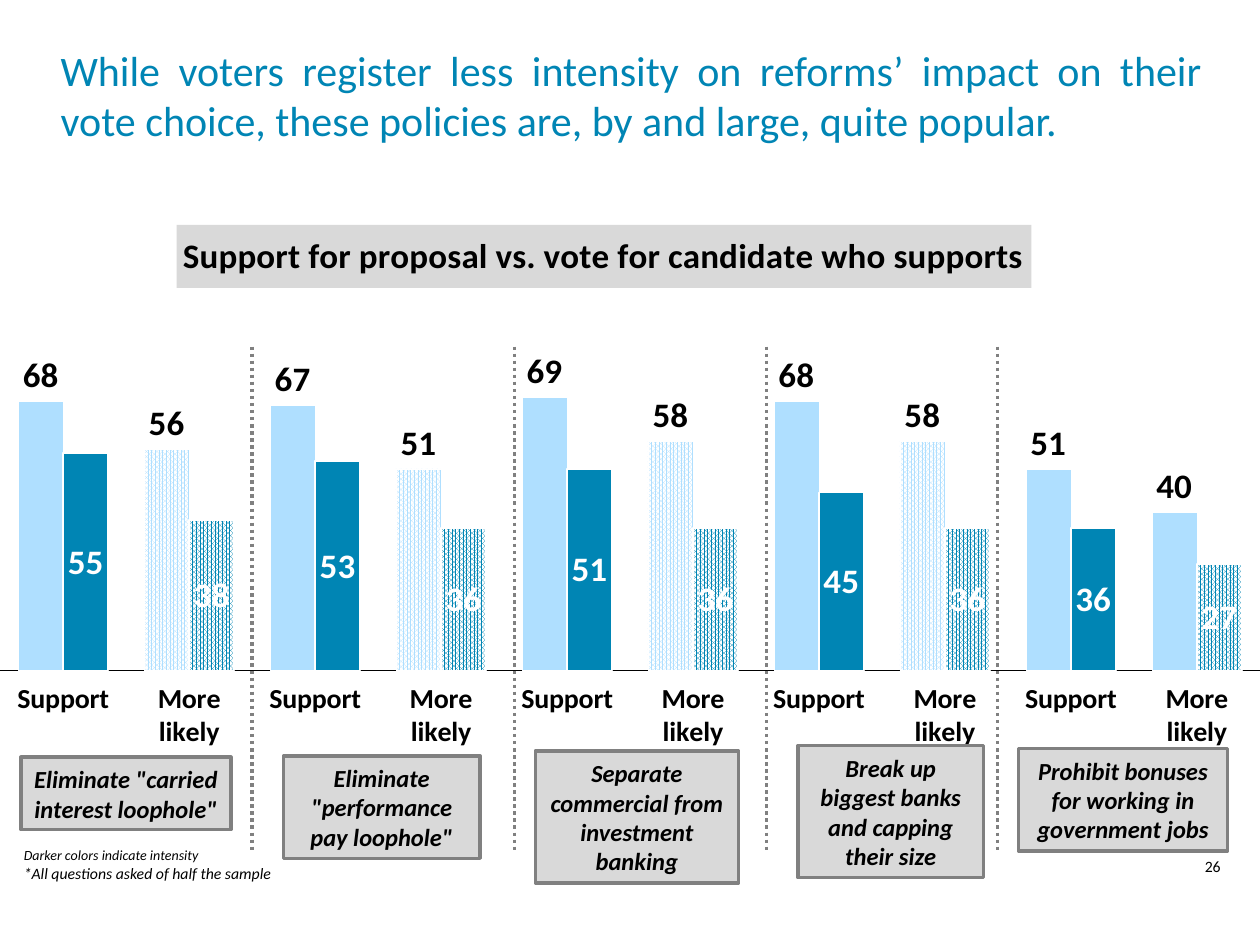
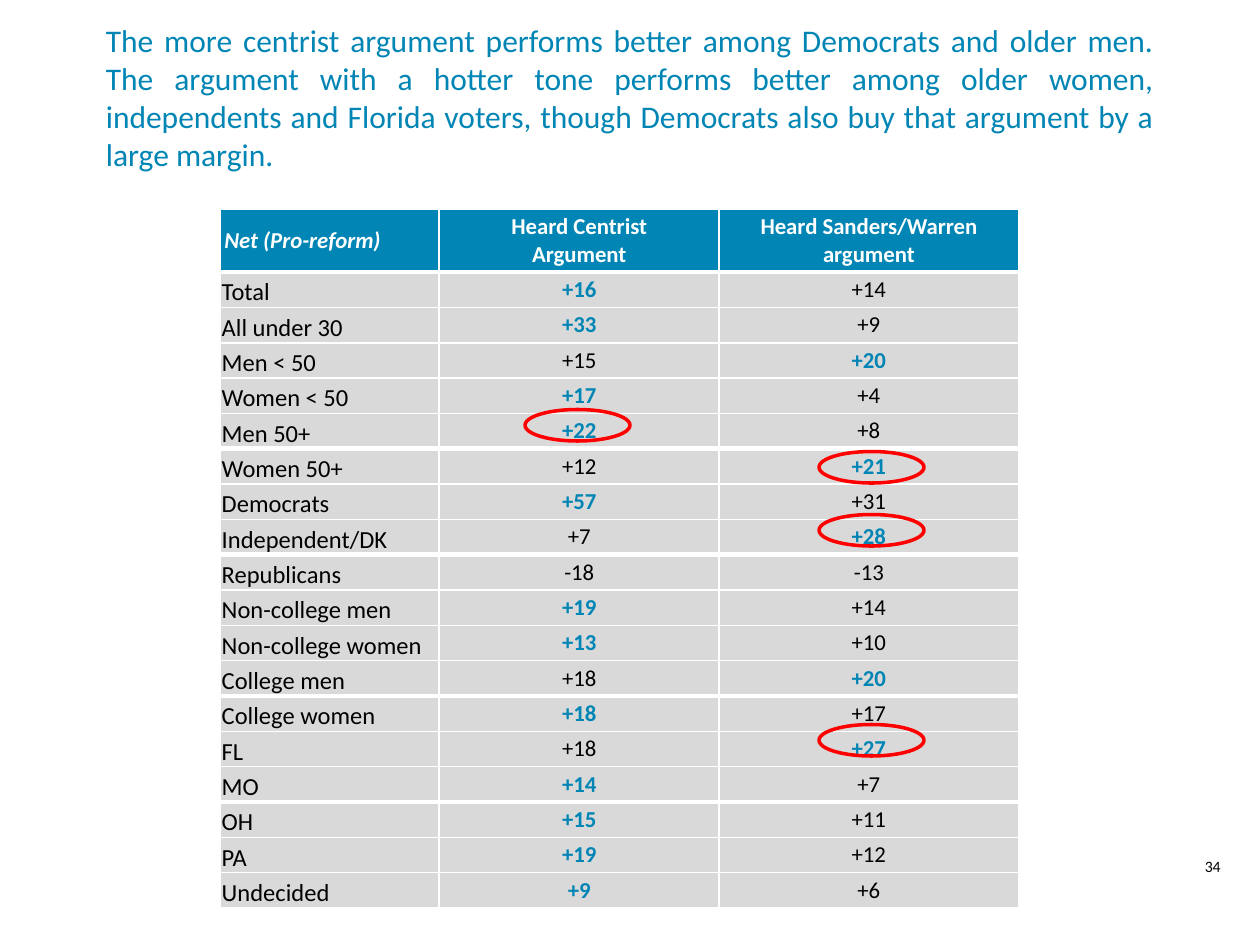
from copy import deepcopy
from dataclasses import dataclass

from lxml import etree
from pptx import Presentation
from pptx.chart.data import CategoryChartData
from pptx.dml.color import RGBColor
from pptx.enum.chart import XL_CHART_TYPE, XL_LABEL_POSITION, XL_TICK_LABEL_POSITION, XL_TICK_MARK
from pptx.enum.dml import MSO_LINE, MSO_PATTERN
from pptx.enum.shapes import MSO_CONNECTOR, MSO_SHAPE
from pptx.enum.text import MSO_ANCHOR, MSO_AUTO_SIZE, PP_ALIGN
from pptx.oxml.ns import qn
from pptx.util import Pt

CENTER, JUSTIFY, LEFT = PP_ALIGN.CENTER, PP_ALIGN.JUSTIFY, PP_ALIGN.LEFT
MIDDLE, BOTTOM = MSO_ANCHOR.MIDDLE, MSO_ANCHOR.BOTTOM
NO_FIT = MSO_AUTO_SIZE.NONE
CLUSTERED = XL_CHART_TYPE.COLUMN_CLUSTERED
LABEL_ABOVE, LABEL_INSIDE = XL_LABEL_POSITION.OUTSIDE_END, XL_LABEL_POSITION.CENTER
NO_TICK, LABELS_LOW = XL_TICK_MARK.NONE, XL_TICK_LABEL_POSITION.LOW
DOTTED, DENSE_DOTS = MSO_LINE.ROUND_DOT, MSO_PATTERN.PERCENT_80
RECTANGLE, OVAL, STRAIGHT = MSO_SHAPE.RECTANGLE, MSO_SHAPE.OVAL, MSO_CONNECTOR.STRAIGHT
TITLE_ONLY = 5


@dataclass(frozen=True)
class Theme:
    font: str = "Calibri"
    blue: str = "0085B4"
    light_blue: str = "AFDFFF"
    panel: str = "D9D9D9"
    rule: str = "808080"
    circle: str = "FF0000"
    black: str = "000000"
    white: str = "FFFFFF"
    title: float = 24
    long_title: float = 18
    chart_title: float = 20
    axis: float = 16
    row_label: float = 14
    proposal: float = 14
    cell: float = 13
    small: float = 9
    tiny: float = 8


THEME = Theme()


@dataclass(frozen=True)
class Box:
    left: float
    top: float
    width: float
    height: float

    def lengths(self) -> tuple:
        return Pt(self.left), Pt(self.top), Pt(self.width), Pt(self.height)


@dataclass(frozen=True)
class Proposal:
    text: str
    left: float
    top: float
    width: float
    lines: int

    def box(self) -> Box:
        return Box(self.left, self.top, self.width, 7.2 + 17.1 * self.lines)


@dataclass(frozen=True)
class BarSeries:
    name: str
    values: tuple
    color: str
    dotted: tuple
    outline: float
    label_color: str
    label_position: object


@dataclass(frozen=True)
class VoterGroup:
    name: str
    centrist: int
    hotter: int
    heavy_top: bool = False
    heavy_bottom: bool = False


PAGE_BOX = Box(666, 486, 54, 24)

PROPOSALS = (
    Proposal('Eliminate "carried interest loophole"', 12, 432.7, 120, 2),
    Proposal('Eliminate "performance pay loophole"', 162, 432, 112.3, 3),
    Proposal("Separate commercial from investment banking", 306, 429, 116, 4),
    Proposal("Break up biggest banks and capping their size", 456, 426, 106, 4),
    Proposal("Prohibit bonuses for working in government jobs", 582, 427.7, 119.5, 3),
)
DIVIDERS = (144, 294, 438, 570)

BARS = (
    BarSeries("Series 1", (68, 56, 67, 51, 69, 58, 68, 58, 51, 40), THEME.light_blue,
              (1, 3, 5, 7), 0.25, THEME.black, LABEL_ABOVE),
    BarSeries("Series 2", (55, 38, 53, 36, 51, 36, 45, 36, 36, 27), THEME.blue,
              (1, 3, 5, 7, 9), 0.96, THEME.white, LABEL_INSIDE),
)

VOTER_GROUPS = (
    VoterGroup("Total", 16, 14),
    VoterGroup("All under 30", 33, 9),
    VoterGroup("Men < 50", 15, 20),
    VoterGroup("Women < 50", 17, 4),
    VoterGroup("Men 50+", 22, 8, heavy_bottom=True),
    VoterGroup("Women 50+", 12, 21, heavy_top=True),
    VoterGroup("Democrats", 57, 31),
    VoterGroup("Independent/DK", 7, 28, heavy_bottom=True),
    VoterGroup("Republicans", -18, -13, heavy_top=True),
    VoterGroup("Non-college men", 19, 14),
    VoterGroup("Non-college women", 13, 10),
    VoterGroup("College men", 18, 20, heavy_bottom=True),
    VoterGroup("College women", 18, 17, heavy_top=True),
    VoterGroup("FL", 18, 27),
    VoterGroup("MO", 14, 7, heavy_bottom=True),
    VoterGroup("OH", 15, 11, heavy_top=True),
    VoterGroup("PA", 19, 12),
    VoterGroup("Undecided", 9, 6),
)
CIRCLES = ((300, 234), (468, 258), (468, 294), (468, 414))


def rgb(color: str) -> RGBColor:
    return RGBColor.from_string(color)


def style_font(font, size: float, color: str = THEME.black, **extras) -> None:
    values = {"name": THEME.font, "size": Pt(size), "bold": False, "italic": False, **extras}
    for attribute, value in values.items():
        setattr(font, attribute, value)
    font.color.rgb = rgb(color)


def style_line(line, color: str, width: float) -> None:
    line.color.rgb = rgb(color)
    line.width = Pt(width)


def fill_solid(fill, color: str) -> None:
    fill.solid()
    fill.fore_color.rgb = rgb(color)


def write(frame, text: str, align, size: float, color: str = THEME.black, **extras) -> None:
    """Fill a text frame, one paragraph for each line of the text."""
    frame.word_wrap = True
    for index, line in enumerate(text.split("\n")):
        paragraph = frame.add_paragraph() if index else frame.paragraphs[0]
        paragraph.alignment = align
        run = paragraph.add_run()
        run.text = line
        style_font(run.font, size, color, **extras)


def add_titled_slide(deck, title: str, box: Box, size: float, page: str):
    slide = deck.slides.add_slide(deck.slide_layouts[TITLE_ONLY])
    heading = slide.shapes.title
    heading.left, heading.top, heading.width, heading.height = box.lengths()
    heading.text_frame.vertical_anchor = MIDDLE
    write(heading.text_frame, title, JUSTIFY, size, THEME.blue)
    heading.text_frame.auto_size = NO_FIT
    page_number = slide.shapes.add_textbox(*PAGE_BOX.lengths())
    write(page_number.text_frame, page, CENTER, THEME.small)
    return slide


def add_outlined(slide, preset, box: Box, color: str):
    shape = slide.shapes.add_shape(preset, *box.lengths())
    shape.shadow.inherit = False
    shape.fill.background()
    style_line(shape.line, color, 2)
    return shape


def add_divider(slide, x: float) -> None:
    divider = slide.shapes.add_connector(STRAIGHT, Pt(x), Pt(198), Pt(x), Pt(486))
    style_line(divider.line, THEME.rule, 2)
    divider.line.dash_style = DOTTED
    etree.SubElement(divider._element.spPr, qn("a:effectLst"))


def place_in_chart(parent, index: int, **values) -> None:
    """Give a chart part a manual layout as the child at this index."""
    for old in parent.findall(qn("c:layout")):
        parent.remove(old)
    layout = etree.Element(qn("c:layout"))
    manual = etree.SubElement(layout, qn("c:manualLayout"))
    for tag, value in values.items():
        etree.SubElement(manual, qn(f"c:{tag}")).set("val", str(value))
    parent.insert(index, layout)


def style_series(series, bars: BarSeries) -> None:
    series.invert_if_negative = False
    fill_solid(series.format.fill, bars.color)
    style_line(series.format.line, THEME.white, bars.outline)
    for index in bars.dotted:
        point = series.points[index].format
        point.fill.patterned()
        point.fill.pattern = DENSE_DOTS
        point.fill.fore_color.rgb = rgb(bars.color)
        point.fill.back_color.rgb = rgb(THEME.white)
        style_line(point.line, THEME.white, bars.outline)
    labels = series.data_labels
    labels.show_value = True
    labels.position = bars.label_position
    style_font(labels.font, THEME.chart_title, bars.label_color, bold=True)


def move_last_series_to_second_axis(plot_area) -> None:
    first = plot_area.find(qn("c:barChart"))
    second = deepcopy(first)
    first.remove(first.findall(qn("c:ser"))[-1])
    second.remove(second.find(qn("c:ser")))
    first.addnext(second)
    category, value = (plot_area.find(qn(tag)) for tag in ("c:catAx", "c:valAx"))
    new_ids = {axis.find(qn("c:axId")).get("val"): new
               for axis, new in ((category, "50010"), (value, "50020"))}
    for reference in second.findall(qn("c:axId")):
        reference.set("val", new_ids[reference.get("val")])
    previous = value
    for axis in (value, category):
        twin = deepcopy(axis)
        for tag in ("c:axId", "c:crossAx"):
            reference = twin.find(qn(tag))
            reference.set("val", new_ids[reference.get("val")])
        twin.find(qn("c:delete")).set("val", "1")
        if axis is value:
            twin.find(qn("c:axPos")).set("val", "r")
            twin.find(qn("c:crosses")).set("val", "max")
        previous.addnext(twin)
        previous = twin


def add_support_chart(slide) -> None:
    data = CategoryChartData()
    data.categories = ["Support", "More likely"] * len(PROPOSALS)
    for bars in BARS:
        data.add_series(bars.name, bars.values)
    area = Box(0, 122.4, 720, 306)
    chart = slide.shapes.add_chart(CLUSTERED, *area.lengths(), data).chart
    chart.has_legend = False
    style_font(chart.font, 15)

    chart.has_title = True
    write(chart.chart_title.text_frame, "Support for proposal vs. vote for candidate who supports",
          CENTER, THEME.chart_title, bold=True)
    fill_solid(chart.chart_title.format.fill, THEME.panel)
    title = chart.chart_title._element
    title.find(qn("c:overlay")).set("val", "1")
    place_in_chart(title, 1, xMode="edge", yMode="edge", x=0.14, y=0.02)

    plot = chart.plots[0]
    plot.gap_width = 80
    plot.vary_by_categories = False
    for series, bars in zip(plot.series, BARS):
        style_series(series, bars)

    categories, values = chart.category_axis, chart.value_axis
    categories.major_tick_mark = categories.minor_tick_mark = NO_TICK
    categories.tick_label_position = LABELS_LOW
    style_font(categories.tick_labels.font, THEME.axis, bold=True)
    style_line(categories.format.line, THEME.black, 0.25)
    values.minimum_scale, values.maximum_scale = 0, 80
    values.has_major_gridlines = values.visible = False

    plot_area = chart._chartSpace.chart.plotArea
    move_last_series_to_second_axis(plot_area)
    place_in_chart(plot_area, 0, layoutTarget="inner", xMode="edge", yMode="edge",
                   x=0, y=0.267, w=1, h=0.603)


def style_cell(cell, fill: str, anchor, margins: tuple, top: float, bottom: float) -> None:
    properties = cell._tc.get_or_add_tcPr()
    for side, width in zip("LRTB", (1, 1, top, bottom)):
        border = etree.SubElement(properties, qn(f"a:ln{side}"), w=str(Pt(width)))
        paint = etree.SubElement(border, qn("a:solidFill"))
        etree.SubElement(paint, qn("a:srgbClr"), val=THEME.white)
    fill_solid(cell.fill, fill)
    cell.vertical_anchor = anchor
    for side, margin in zip(("left", "top", "right", "bottom"), margins):
        setattr(cell, f"margin_{side}", Pt(margin))


def add_argument_table(slide) -> None:
    header_height, row_height = 36, 20.2
    widths = (125, 160, 171)
    roomy, tight = (2.16,) * 4, (0.72, 0.72, 0.72, 0)
    area = Box(126, 119.5, sum(widths), header_height + row_height * len(VOTER_GROUPS))
    table = slide.shapes.add_table(len(VOTER_GROUPS) + 1, len(widths), *area.lengths()).table
    table.horz_banding = False
    for column, width in zip(table.columns, widths):
        column.width = Pt(width)
    for index, row in enumerate(table.rows):
        row.height = Pt(row_height if index else header_height)

    headings = ("Net (Pro-reform)", "Heard Centrist\nArgument", "Heard Sanders/Warren argument")
    for column, heading in enumerate(headings):
        cell = table.cell(0, column)
        style_cell(cell, THEME.blue, MIDDLE, roomy, 1, 3)
        write(cell.text_frame, heading, CENTER if column else LEFT, THEME.cell, THEME.white,
              bold=True, italic=column == 0)

    for row, group in enumerate(VOTER_GROUPS, start=1):
        borders = 3 if group.heavy_top else 1, 3 if group.heavy_bottom else 1
        name = table.cell(row, 0)
        style_cell(name, THEME.panel, BOTTOM, tight, *borders)
        write(name.text_frame, group.name, LEFT, THEME.row_label)
        nets = group.centrist, group.hotter
        for column, net in enumerate(nets, start=1):
            wins = net > 0 and net == max(nets)
            cell = table.cell(row, column)
            style_cell(cell, THEME.panel, MIDDLE, roomy, *borders)
            write(cell.text_frame, f"{net:+d}", CENTER, THEME.cell,
                  THEME.blue if wins else THEME.black, bold=wins)


def build_support_slide(deck) -> None:
    slide = add_titled_slide(
        deck, "While voters register less intensity on reforms’ impact on their vote choice, "
        "these policies are, by and large, quite popular.",
        Box(27.4, 12.2, 666.7, 83.5), THEME.title, "26")
    add_support_chart(slide)
    for x in DIVIDERS:
        add_divider(slide, x)
    for proposal in PROPOSALS:
        panel = add_outlined(slide, RECTANGLE, proposal.box(), THEME.rule)
        fill_solid(panel.fill, THEME.panel)
        write(panel.text_frame, proposal.text, CENTER, THEME.proposal, bold=True, italic=True)
    footnote = slide.shapes.add_textbox(*Box(6.5, 480.2, 528, 39).lengths()).text_frame
    write(footnote, "Darker colors indicate intensity\n*All questions asked of half the sample",
          JUSTIFY, THEME.small, italic=True)
    footnote.paragraphs[0].runs[0].font.size = Pt(THEME.tiny)


def build_argument_slide(deck) -> None:
    slide = add_titled_slide(
        deck, "The more centrist argument performs better among Democrats and older men. "
        "The argument with a hotter tone performs better among older women, independents and "
        "Florida voters, though Democrats also buy that argument by a large margin.",
        Box(53.3, 13.7, 613.4, 83.5), THEME.long_title, "34")
    add_argument_table(slide)
    for left, top in CIRCLES:
        add_outlined(slide, OVAL, Box(left, top, 60, 18), THEME.circle)


def main() -> None:
    deck = Presentation()
    deck.slide_width, deck.slide_height = Pt(720), Pt(540)
    build_support_slide(deck)
    build_argument_slide(deck)
    deck.save("out.pptx")


if __name__ == "__main__":
    main()
